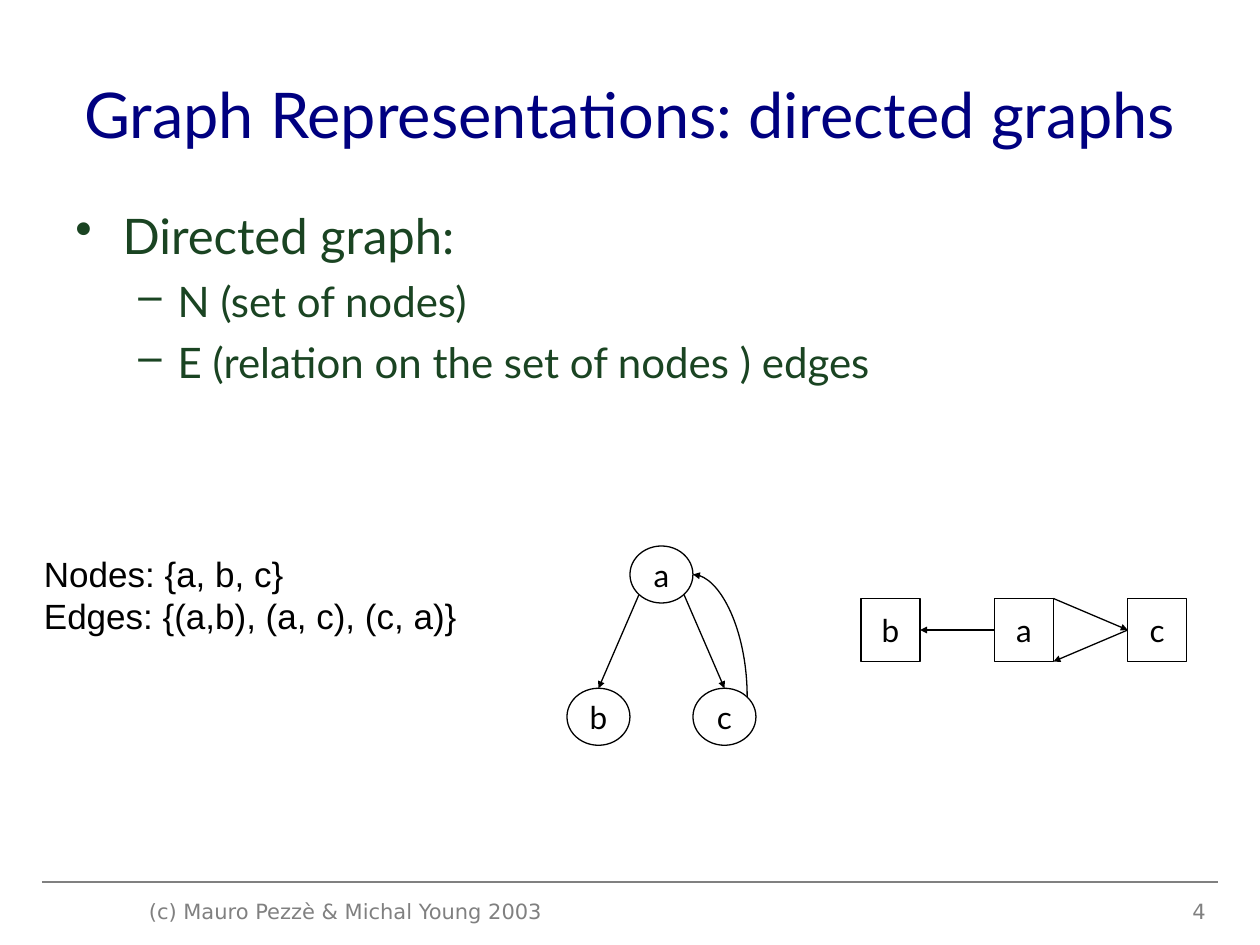
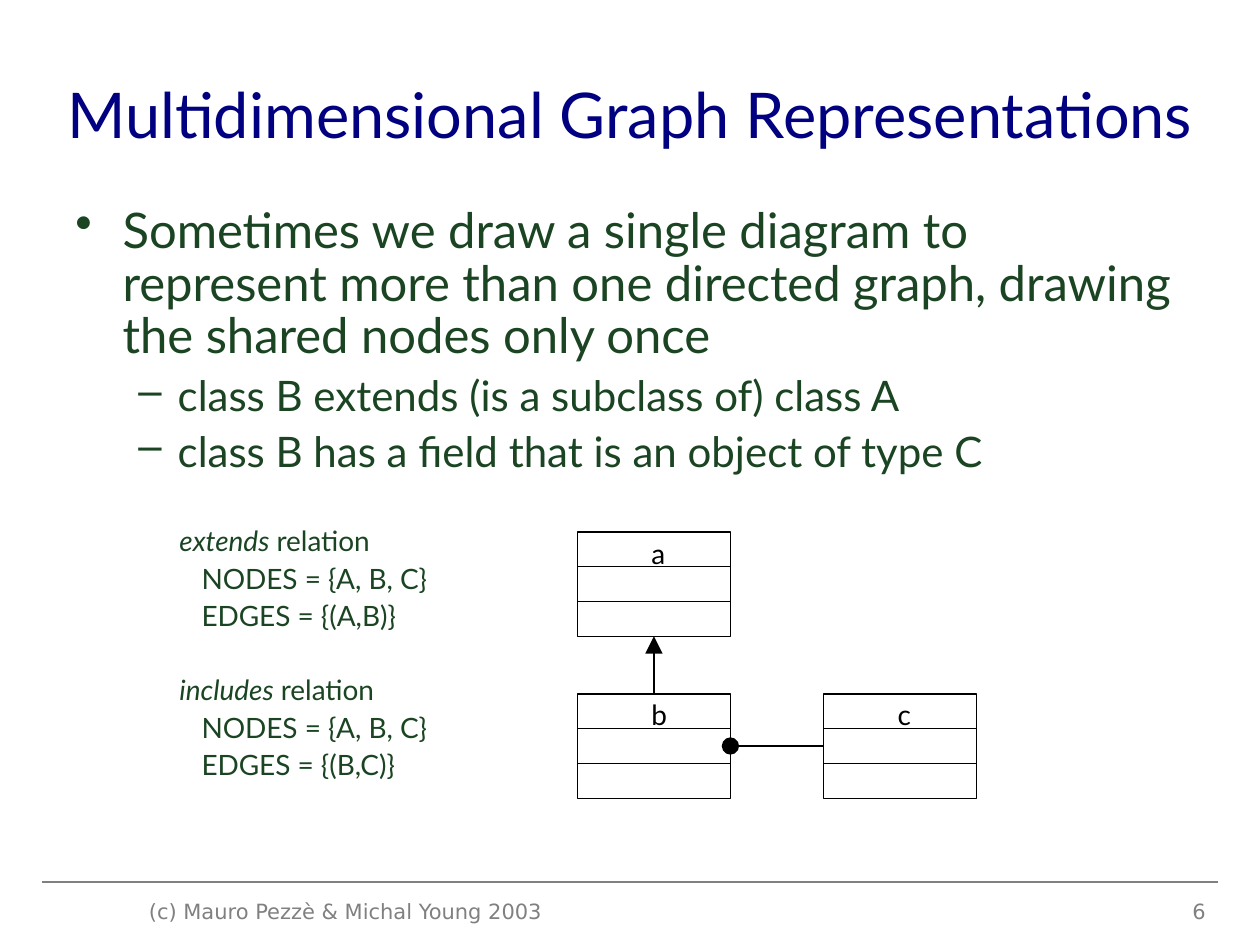
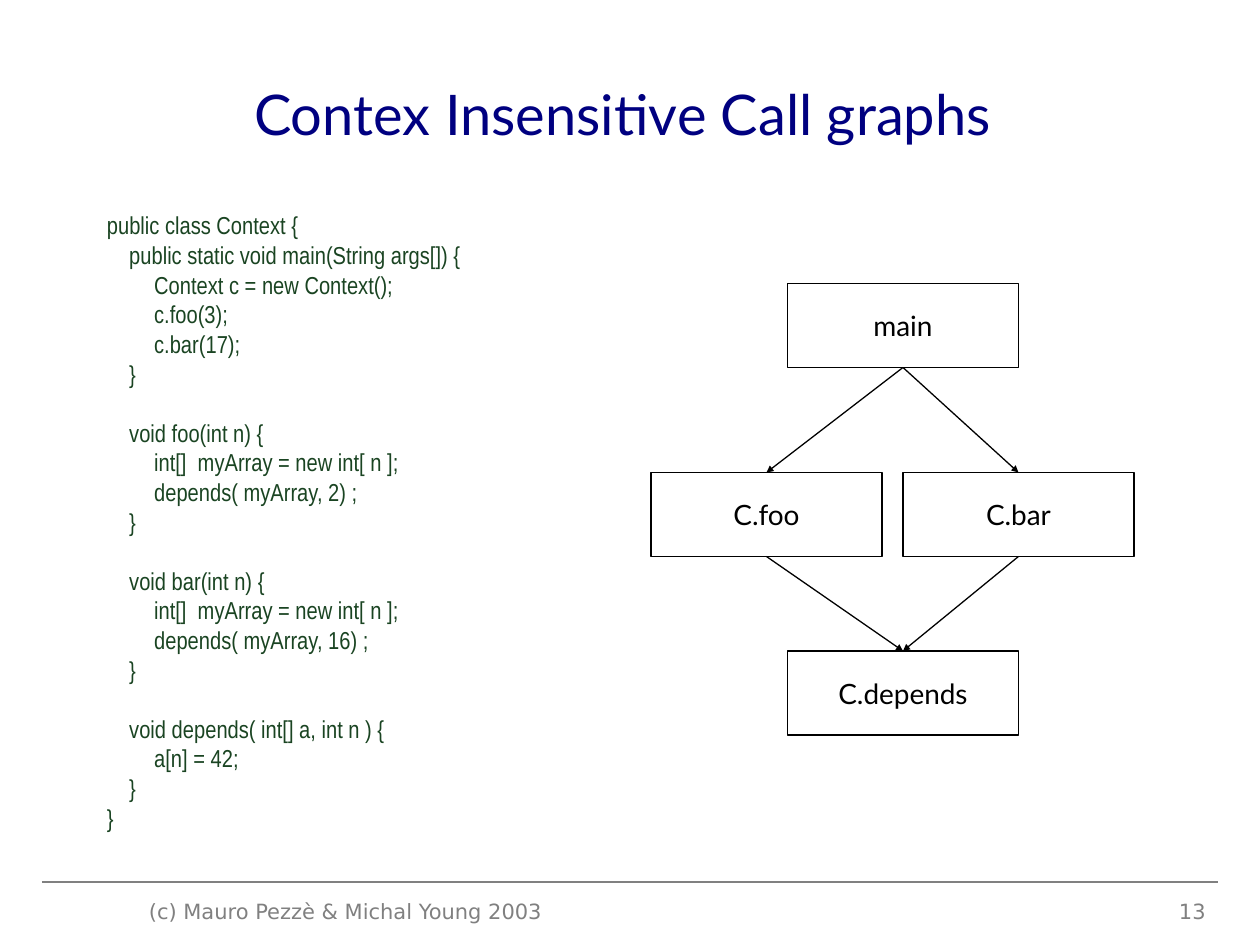
from dataclasses import dataclass, replace
from typing import Optional

from lxml import etree
from pptx import Presentation
from pptx.dml.color import RGBColor
from pptx.enum import shapes, text
from pptx.oxml.ns import qn
from pptx.util import Pt

NAVY = RGBColor(0x00, 0x00, 0x80)
GREEN = RGBColor(0x1A, 0x44, 0x22)
GREY = RGBColor(0x80, 0x80, 0x80)
BLACK = RGBColor(0x00, 0x00, 0x00)

LEFT, CENTER, RIGHT = text.PP_ALIGN.LEFT, text.PP_ALIGN.CENTER, text.PP_ALIGN.RIGHT
TOP, MIDDLE, BOTTOM = text.MSO_ANCHOR.TOP, text.MSO_ANCHOR.MIDDLE, text.MSO_ANCHOR.BOTTOM
OVAL, RECT = shapes.MSO_SHAPE.OVAL, shapes.MSO_SHAPE.RECTANGLE
STRAIGHT, CURVE = shapes.MSO_CONNECTOR.STRAIGHT, shapes.MSO_CONNECTOR.CURVE


@dataclass(frozen=True)
class Style:
    size: float
    font: str = "Lato"
    color: RGBColor = BLACK
    align: text.PP_ALIGN = LEFT
    bullet: str = ""
    margin: float = 0
    indent: float = 0
    spacing: float = 1.0
    before: float = 0


@dataclass(frozen=True)
class Para:
    text: str
    style: Style
    lead: str = ""  # italic words before the text


@dataclass(frozen=True)
class Box:
    x: float
    y: float
    w: float
    h: float

    def at(self, fx: float, fy: float) -> tuple[float, float]:
        """Point at the given fractions of width and height."""
        return self.x + fx * self.w, self.y + fy * self.h


@dataclass(frozen=True)
class Node:
    label: str
    box: Box


TITLE = Style(36, color=NAVY, align=CENTER)
BULLET = Style(28, color=GREEN, bullet="•", margin=27, indent=-27, before=7)
DASH = Style(24, color=GREEN, bullet="–", margin=58.5, indent=-22.5, before=6)
PLAIN = Style(20, "Arial")
NODE = Style(18, align=CENTER)
CALL = replace(NODE, size=16)
RELATION = Style(16, color=GREEN, spacing=0.9, before=4)
CODE = Style(14, "Arial Narrow", GREEN, margin=27, indent=-27, spacing=0.8, before=3.5)
FOOTER = Style(12, "DejaVu Sans", GREY)

TITLE_BOX = Box(36, 21.6, 648, 86.4)
COPYRIGHT = "(c) Mauro Pezzè & Michal Young 2003"

CODE_BLOCKS = (
    "public class Context {\n"
    "    public static void main(String args[]) {\n"
    "\tContext c = new Context();\n"
    "\tc.foo(3);\n"
    "\tc.bar(17);\n"
    "    }",
    "    void foo(int n) {\n"
    "\tint[]  myArray = new int[ n ];\n"
    "\tdepends( myArray, 2) ;\n"
    "    }",
    "    void bar(int n) {\n"
    "\tint[]  myArray = new int[ n ];\n"
    "\tdepends( myArray, 16) ;\n"
    "    }",
    "    void depends( int[] a, int n ) {\n"
    "\ta[n] = 42;\n"
    "    }\n"
    "}",
)


def add_run(p, words: str, style: Style, italic: bool = False) -> None:
    r = p.add_run()
    r.text = words
    f = r.font
    f.size, f.name, f.italic = Pt(style.size), style.font, italic
    f.color.rgb = style.color


def write(sp, paras: list[Para], anchor=TOP, wrap: bool = True) -> None:
    tf = sp.text_frame
    tf.word_wrap, tf.vertical_anchor = wrap, anchor
    for i, para in enumerate(paras):
        style = para.style
        p = tf.add_paragraph() if i else tf.paragraphs[0]
        pPr = p._p.get_or_add_pPr()
        pPr.set("marL", str(Pt(style.margin)))
        pPr.set("indent", str(Pt(style.indent)))
        if style.bullet:
            clr = etree.SubElement(pPr, qn("a:buClr"))
            etree.SubElement(clr, qn("a:srgbClr"), val=str(style.color))
            etree.SubElement(pPr, qn("a:buChar"), char=style.bullet)
        p.alignment, p.line_spacing = style.align, style.spacing
        p.space_before = Pt(style.before if i else 0)
        if para.lead:
            add_run(p, para.lead, style, italic=True)
        add_run(p, para.text, style)


def add_text(s, box: Box, paras: list[Para], anchor=TOP, wrap: bool = True) -> None:
    sp = s.shapes.add_textbox(Pt(box.x), Pt(box.y), Pt(box.w), Pt(box.h))
    write(sp, paras, anchor, wrap)


def add_outline(s, box: Box, kind=RECT):
    sp = s.shapes.add_shape(kind, Pt(box.x), Pt(box.y), Pt(box.w), Pt(box.h))
    sp.shadow.inherit = False
    sp.fill.background()
    sp.line.color.rgb, sp.line.width = BLACK, Pt(0.75)
    return sp


def add_node(s, node: Node, style: Style, kind=RECT):
    sp = add_outline(s, node.box, kind)
    write(sp, [Para(node.label, style)], MIDDLE, wrap=False)
    return sp


def add_line(s, start: tuple[float, float], end: tuple[float, float], tip: str = "",
             tip_size: str = "sm", color: RGBColor = BLACK, kind=STRAIGHT):
    c = s.shapes.add_connector(kind, *(Pt(v) for v in (*start, *end)))
    c.line.color.rgb, c.line.width = color, Pt(0.75)
    if tip:
        etree.SubElement(c.line._get_or_add_ln(), qn("a:tailEnd"),
                         type=tip, w=tip_size, len=tip_size)
    etree.SubElement(c._element.spPr, qn("a:effectLst"))
    return c


def add_back_edge(s, source, source_box: Box, target, target_box: Box) -> None:
    """Quarter curve that rises from the source's top right to the target's right."""
    x1, y1 = source_box.at(0.86, 0.15)
    x2, y2 = target_box.at(1, 0.5)
    run, rise = x1 - x2, y1 - y2
    cx, cy = (x1 + x2) / 2, (y1 + y2) / 2
    c = add_line(s, (cx - rise / 2, cy - run / 2), (cx + rise / 2, cy + run / 2),
                 "triangle", kind=CURVE)
    xfrm = c._element.spPr.find(qn("a:xfrm"))
    xfrm.set("rot", str(270 * 60000))
    xfrm.set("flipV", "1")
    c._element.spPr.find(qn("a:prstGeom")).set("prst", "curvedConnector2")
    ends = c._element.find(qn("p:nvCxnSpPr")).find(qn("p:cNvCxnSpPr"))
    for tag, sp, site in (("a:stCxn", source, 7), ("a:endCxn", target, 6)):
        etree.SubElement(ends, qn(tag), id=str(sp.shape_id), idx=str(site))


def add_slide(prs, title: str, number: int, style: Style = TITLE, box: Box = TITLE_BOX):
    s = prs.slides.add_slide(prs.slide_layouts[6])
    add_line(s, (24, 504), (696, 504), color=GREY)
    add_text(s, box, [Para(title, style)], MIDDLE)
    add_text(s, Box(78, 510, 252, 19.5), [Para(COPYRIGHT, FOOTER)])
    add_text(s, Box(528, 510, 168, 19.5), [Para(str(number), replace(FOOTER, align=RIGHT))])
    return s


def directed_graphs(prs) -> None:
    s = add_slide(prs, "Graph Representations: directed graphs", 4)
    add_text(s, Box(36, 114, 648, 384), [
        Para("Directed graph:", BULLET),
        Para("N (set of nodes)", DASH),
        Para("E (relation on the set of nodes ) edges", DASH),
    ])
    add_text(s, Box(18, 312, 312, 66), [
        Para("Nodes: {a, b, c}", PLAIN),
        Para("Edges: {(a,b), (a, c), (c, a)}", PLAIN),
    ])

    tree = {k: Box(x, y, 36, 32.6)
            for k, x, y in (("a", 360, 312), ("b", 324, 393.3), ("c", 396, 393.3))}
    ovals = {k: add_node(s, Node(k, box), NODE, OVAL) for k, box in tree.items()}
    for child, fx in (("b", 0.14), ("c", 0.86)):
        add_line(s, tree["a"].at(fx, 0.86), tree[child].at(0.5, 0), "triangle")
    add_back_edge(s, ovals["c"], tree["c"], ovals["a"], tree["a"])

    row = {k: Box(492 + 76.2 * i, 342, 33.8, 36) for i, k in enumerate("bac")}
    for k, box in row.items():
        add_node(s, Node(k, box), NODE)
    b, a, c = row.values()
    for start, end in ((a.at(0, 0.5), b.at(1, 0.5)),
                       (c.at(0, 0.5), a.at(1, 1)),
                       (a.at(1, 0), c.at(0, 0.5))):
        add_line(s, start, end, "triangle")


def add_class(s, node: Node) -> None:
    """Class symbol with three compartments and its name in the first."""
    box = node.box
    add_outline(s, box)
    for i in (1, 2):
        add_line(s, box.at(0, i / 3), box.at(1, i / 3))
    add_text(s, Box(box.x + 35.2, box.y - 1.5, 23.5, 26.6),
             [Para(node.label, Style(16))], BOTTOM, wrap=False)


def multidimensional_graphs(prs) -> None:
    s = add_slide(prs, "Multidimensional Graph Representations", 6,
                  box=Box(30, 21.6, 660, 86.4))
    tight_bullet, tight_dash = (replace(st, spacing=0.9) for st in (BULLET, DASH))
    add_text(s, Box(36, 114, 648, 162), [
        Para("Sometimes we draw a single diagram to represent more than one directed "
             "graph, drawing the shared nodes only once", tight_bullet),
        Para("class B extends (is a subclass of) class A", tight_dash),
        Para("class B has a field that is an object of type C", tight_dash),
    ])

    sets = replace(RELATION, margin=12.6)
    paras = []
    for name, edge in (("extends", "A,B"), ("includes", "B,C")):
        paras += [Para(" relation", replace(RELATION, before=25.3), name),
                  Para("NODES = {A, B, C}", sets),
                  Para(f"EDGES = {{({edge})}}", sets)]
    add_text(s, Box(95.5, 298, 158, 152), paras, BOTTOM)

    a, b, c = (Box(x, y, 87.4, 59.6) for x, y in ((330, 304), (330, 396.5), (470.7, 396.5)))
    for label, box in zip("abc", (a, b, c)):
        add_class(s, Node(label, box))
    add_line(s, b.at(0.5, 0), a.at(0.5, 1), "triangle", "lg")
    add_line(s, c.at(0, 0.5), b.at(1, 0.5), "oval", "lg")


def call_graphs(prs) -> None:
    s = add_slide(prs, "Contex Insensitive Call graphs ", 13, replace(TITLE, size=32))
    block_start = replace(CODE, before=20.4)
    add_text(s, Box(54, 120, 234, 369), [
        Para(line, CODE if i else block_start)
        for block in CODE_BLOCKS for i, line in enumerate(block.split("\n"))
    ])

    calls = [Node(label, Box(x, y, 132, 48)) for label, x, y in (
        ("main", 450, 162), ("C.foo", 372, 270), ("C.bar", 516, 270), ("C.depends", 450, 372))]
    for node in calls:
        add_node(s, node, CALL)
    main_call, foo, bar, depends = (node.box for node in calls)
    for caller, callee in ((main_call, foo), (main_call, bar), (foo, depends), (bar, depends)):
        add_line(s, caller.at(0.5, 1), callee.at(0.5, 0), "triangle")


def main(output: Optional[str] = None) -> None:
    prs = Presentation()
    prs.slide_width, prs.slide_height = Pt(720), Pt(540)
    directed_graphs(prs)
    multidimensional_graphs(prs)
    call_graphs(prs)
    prs.save("out.pptx")


if __name__ == "__main__":
    main()
